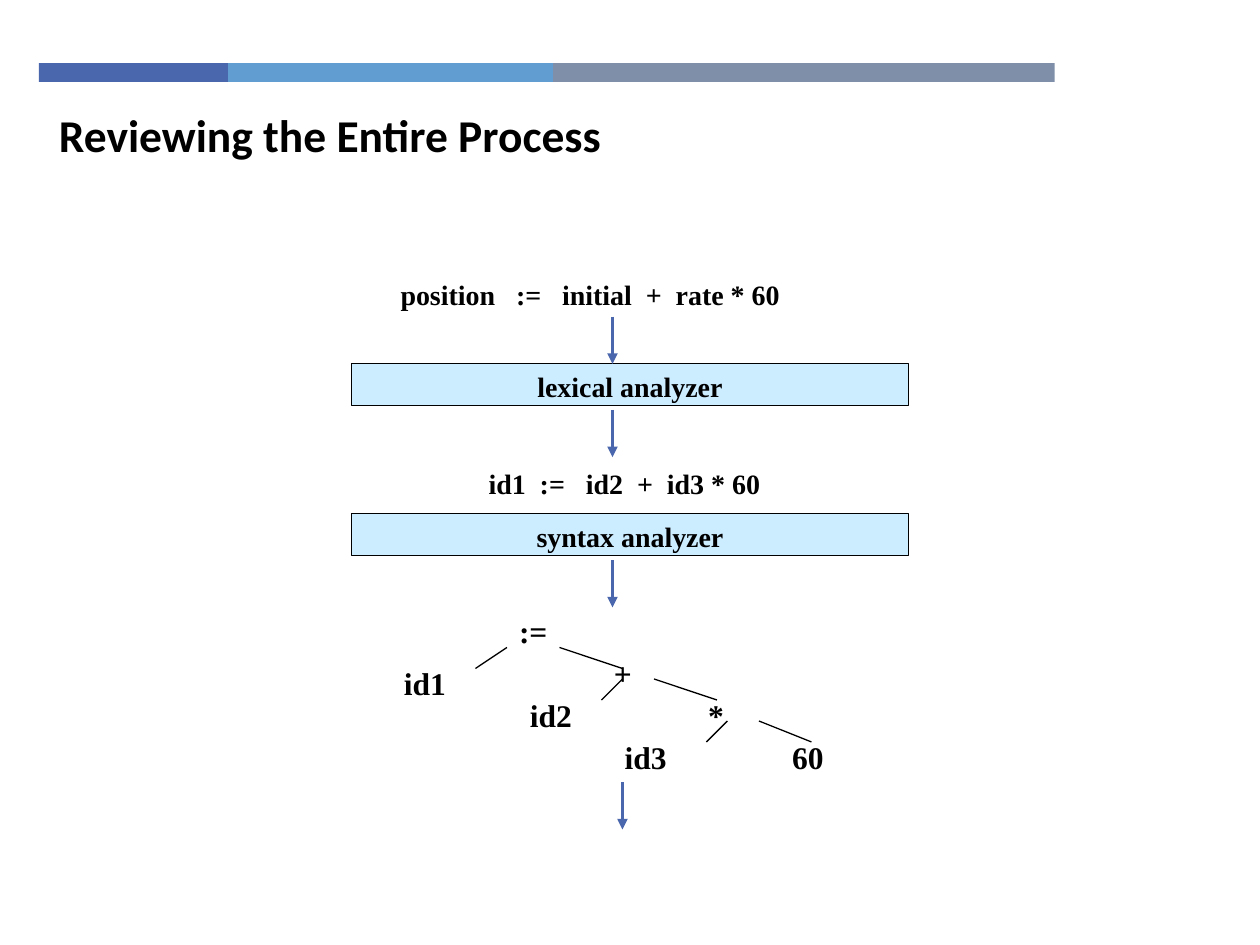
from dataclasses import dataclass
from itertools import accumulate

from lxml.etree import SubElement
from pptx import Presentation
from pptx.dml.color import RGBColor
from pptx.enum.shapes import MSO_CONNECTOR, MSO_SHAPE
from pptx.enum.text import MSO_ANCHOR, PP_ALIGN
from pptx.oxml.ns import qn
from pptx.util import Pt


@dataclass(frozen=True)
class Theme:
    ink: str = "000000"
    arrow: str = "4A66AC"
    stage: str = "CCECFF"
    bars: tuple = ("4A66AC", "629DD1", "7F8FA9")
    title_font: str = "Calibri"
    body_font: str = "Times New Roman"
    title_size: float = 26
    code_size: float = 16
    node_size: float = 18
    thin: float = 0.75
    thick: float = 2


@dataclass(frozen=True)
class Label:
    text: str
    left: float
    top: float
    width: float
    height: float
    size: float
    align: PP_ALIGN = PP_ALIGN.LEFT
    font: str = Theme.body_font


@dataclass(frozen=True)
class Stage:
    text: str
    top: float


@dataclass(frozen=True)
class Edge:
    x1: float
    y1: float
    x2: float
    y2: float


THEME = Theme()
ARROW_LENGTH = 27
BAR_LEFT, BAR_TOP, BAR_HEIGHT = 22.3, 36, 10.8
BAR_WIDTHS = (108, 185.8, 286.6)
STAGE_LEFT, STAGE_WIDTH, STAGE_HEIGHT = 200.9, 318.2, 24
CODE_HEIGHT, NODE_HEIGHT = 26.6, 28.8
LEAF, OPERATOR = 90, 48

STAGES = (Stage("lexical analyzer", 207.8), Stage("syntax analyzer", 293.6))
ARROWS = ((350, 181), (350, 234.2), (350, 320.1), (355.7, 447))
LABELS = (
    Label("Reviewing the Entire Process", 26.6, 57.6, 515.5, 38.9,
          THEME.title_size, font=THEME.title_font),
    Label("position   :=   initial  +  rate * 60", 221.8, 154.8, 275.8,
          CODE_HEIGHT, THEME.code_size),
    Label("id1  :=   id2  +  id3 * 60", 218.9, 263, 275.8,
          CODE_HEIGHT, THEME.code_size, PP_ALIGN.CENTER),
)
NODES = (
    (":=", 289.5, 346.3, OPERATOR),
    ("id1", 223.7, 375.8, LEAF),
    ("id2", 295.7, 394, LEAF),
    ("id3", 349.9, 418.2, LEAF),
    ("+", 343.7, 370.2, OPERATOR),
    ("*", 397.5, 394, OPERATOR),
    ("60", 445.6, 418.2, OPERATOR),
)
EDGES = (
    Edge(289.7, 370, 271.7, 382),
    Edge(319.7, 370, 355.7, 382),
    Edge(355.7, 388, 343.7, 400),
    Edge(373.7, 388, 409.7, 400),
    Edge(415.7, 412, 403.7, 424),
    Edge(433.7, 412, 463.7, 424),
)


def apply(target: object, values: dict) -> None:
    for name, value in values.items():
        setattr(target, name, value)


def add_rect(left: float, top: float, width: float, height: float,
             fill: str, line: str | None = None) -> None:
    sp = s.shapes.add_shape(MSO_SHAPE.RECTANGLE, Pt(left), Pt(top),
                            Pt(width), Pt(height))
    sp.shadow.inherit = False
    sp.fill.solid()
    sp.fill.fore_color.rgb = RGBColor.from_string(fill)
    if line is None:
        sp.line.fill.background()
    else:
        sp.line.color.rgb = RGBColor.from_string(line)
        sp.line.width = Pt(THEME.thin)


def add_label(label: Label) -> None:
    sp = s.shapes.add_textbox(Pt(label.left), Pt(label.top),
                              Pt(label.width), Pt(label.height))
    tf = sp.text_frame
    apply(tf, {"word_wrap": True, "vertical_anchor": MSO_ANCHOR.TOP})
    p = tf.paragraphs[0]
    p.alignment = label.align
    r = p.add_run()
    r.text = label.text
    apply(r.font, {"name": label.font, "size": Pt(label.size), "bold": True})
    r.font.color.rgb = RGBColor.from_string(THEME.ink)


def add_line(edge: Edge, color: str, width: float, arrow: bool = False) -> None:
    sp = s.shapes.add_connector(MSO_CONNECTOR.STRAIGHT, Pt(edge.x1),
                                Pt(edge.y1), Pt(edge.x2), Pt(edge.y2))
    sp.line.color.rgb = RGBColor.from_string(color)
    sp.line.width = Pt(width)
    if arrow:
        SubElement(sp.line._get_or_add_ln(), qn("a:tailEnd"), type="triangle")
    SubElement(sp._element.spPr, qn("a:effectLst"))


prs = Presentation()
apply(prs, {"slide_width": Pt(720), "slide_height": Pt(540)})
s = prs.slides.add_slide(prs.slide_layouts[6])

for left, width, color in zip(accumulate(BAR_WIDTHS, initial=BAR_LEFT),
                              BAR_WIDTHS, THEME.bars):
    add_rect(left, BAR_TOP, width, BAR_HEIGHT, color)

for label in LABELS:
    add_label(label)

for stage in STAGES:
    add_rect(STAGE_LEFT, stage.top, STAGE_WIDTH, STAGE_HEIGHT,
             THEME.stage, THEME.ink)
    add_label(Label(stage.text, STAGE_LEFT + 12, stage.top, STAGE_WIDTH - 24,
                    CODE_HEIGHT, THEME.code_size, PP_ALIGN.CENTER))

for text, left, top, width in NODES:
    add_label(Label(text, left, top, width, NODE_HEIGHT, THEME.node_size))

for edge in EDGES:
    add_line(edge, THEME.ink, THEME.thin)

for x, y in ARROWS:
    add_line(Edge(x, y, x, y + ARROW_LENGTH), THEME.arrow, THEME.thick, True)

prs.save("out.pptx")
